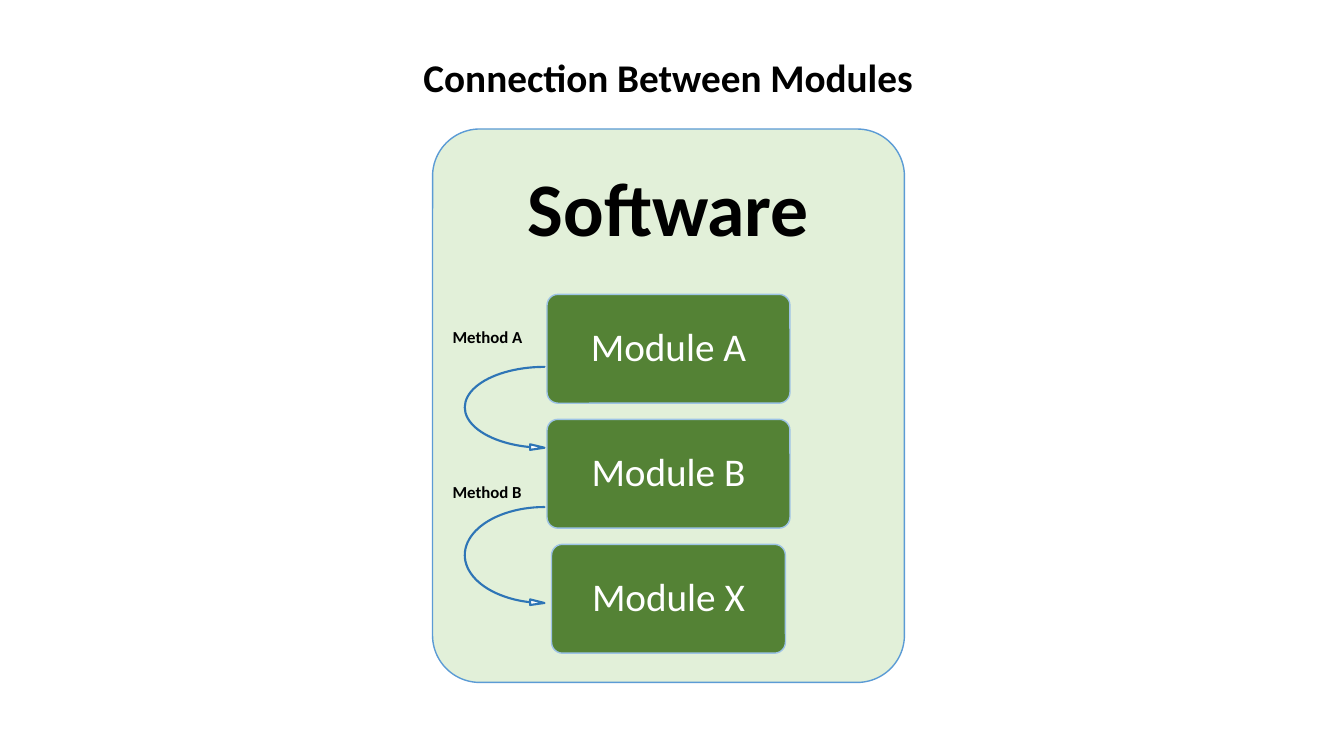
from pptx import Presentation
from pptx.dml.color import RGBColor
from pptx.enum.shapes import MSO_SHAPE as Preset
from pptx.enum.text import MSO_ANCHOR as Anchor, MSO_AUTO_SIZE as AutoSize, PP_ALIGN as Align
from pptx.util import Inches, Pt

COLORS = {
    "panel": "E2F0D9", "panel_line": "5B9BD5",
    "module": "548235", "module_line": "9DC3E6",
    "arrow": "FFFFFF", "arrow_line": "2E75B6",
    "dark": "000000", "light": "FFFFFF",
}


class ModuleSlide:
    font = "Calibri"

    def __init__(self, deck):
        self.slide = deck.slides.add_slide(deck.slide_layouts[5])
        self.shapes = self.slide.shapes

    def color(self, name):
        return RGBColor.from_string(COLORS[name])

    def set_text(self, shape, text, size, color="dark", bold=False, align=Align.LEFT,
                 anchor=Anchor.TOP, spacing=1.0, wrap=True):
        frame = shape.text_frame
        frame_format = {
            "text": text, "word_wrap": wrap, "vertical_anchor": anchor,
            "auto_size": AutoSize.NONE,
            "margin_left": Inches(0.1), "margin_right": Inches(0.1),
            "margin_top": Inches(0.05), "margin_bottom": Inches(0.05),
        }
        for name, value in frame_format.items():
            setattr(frame, name, value)
        paragraph = frame.paragraphs[0]
        paragraph.alignment = align
        paragraph.line_spacing = spacing
        font = paragraph.runs[0].font
        for name, value in {"name": self.font, "size": Pt(size), "bold": bold}.items():
            setattr(font, name, value)
        font.color.rgb = self.color(color)

    def title(self, text, left, top, width, height):
        heading = self.shapes.title
        place = {"left": left, "top": top, "width": width, "height": height}
        for name, value in place.items():
            setattr(heading, name, Inches(value))
        self.set_text(heading, text, 28, bold=True, wrap=False)

    def label(self, text, left, top, width, height, size, **style):
        box = self.shapes.add_textbox(*map(Inches, (left, top, width, height)))
        self.set_text(box, text, size, bold=True, **style)

    def block(self, preset, place, adjustments, role, line_width=1.0):
        shape = self.shapes.add_shape(preset, *map(Inches, place))
        shape.shadow.inherit = False
        for index, value in enumerate(adjustments):
            shape.adjustments[index] = value
        shape.fill.solid()
        shape.fill.fore_color.rgb = self.color(role)
        shape.line.color.rgb = self.color(role + "_line")
        shape.line.width = Pt(line_width)
        return shape

    def module(self, text, center, top, width, height):
        place = (center - width / 2, top, width, height)
        card = self.block(Preset.ROUNDED_RECTANGLE, place, [0.1], "module")
        self.set_text(card, text, 28, "light", align=Align.CENTER,
                      anchor=Anchor.MIDDLE, spacing=0.9)

    def call_arrow(self, left, top, width, height):
        self.block(Preset.CURVED_RIGHT_ARROW, (left, top, width, height),
                   [0, 0.07, 0.18], "arrow", 1.5)


deck = Presentation()
deck.slide_width, deck.slide_height = Inches(13.33), Inches(7.5)
page = ModuleSlide(deck)

# Heading
page.title("Connection Between Modules", 4.1, 0.48, 5.24, 0.57)

# Software panel
panel_left, panel_top, panel_width = 4.29, 1.28, 4.68
page.block(Preset.ROUNDED_RECTANGLE, (panel_left, panel_top, panel_width, 5.49), [0.1], "panel")
page.label("Software", panel_left, panel_top, panel_width, 1.65, 54,
           align=Align.CENTER, anchor=Anchor.MIDDLE, spacing=0.9)

# Stacked modules
module_center = panel_left + panel_width / 2
module_top, module_height, module_gap = 2.92, 1.08, 0.16
for row, (letter, width) in enumerate([("A", 2.41), ("B", 2.41), ("X", 2.32)]):
    top = module_top + row * (module_height + module_gap)
    page.module(f"Module {letter}", module_center, top, width, module_height)

# Method calls between neighbouring modules
for letter, label_top, arrow_top, arrow_height in [("A", 3.19, 3.64, 0.83),
                                                    ("B", 4.73, 5.03, 0.98)]:
    page.call_arrow(4.61, arrow_top, 0.79, arrow_height)
    page.label(f"Method {letter}", 4.39, label_top, 1.23, 0.61, 12)

deck.save("out.pptx")
